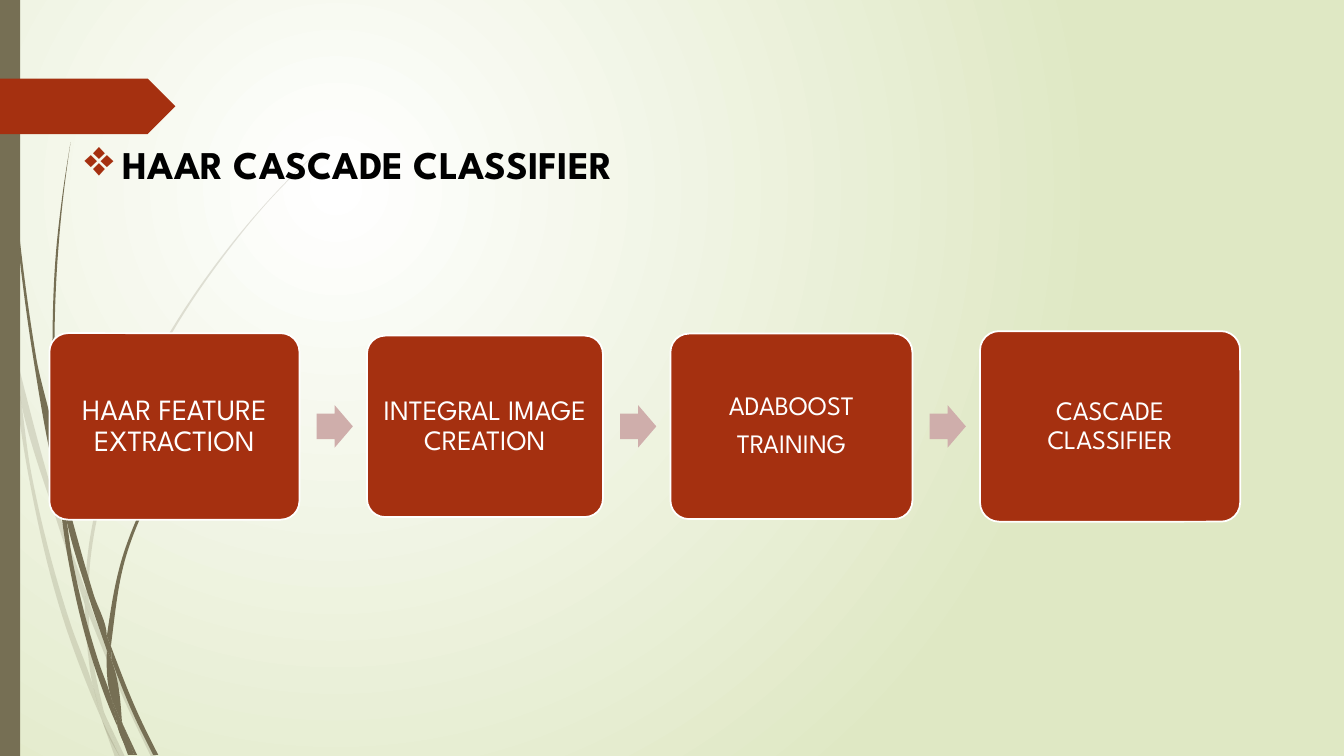
from itertools import pairwise

from lxml import etree
from pptx import Presentation
from pptx.dml.color import RGBColor
from pptx.enum.shapes import MSO_SHAPE
from pptx.enum.text import MSO_ANCHOR, PP_ALIGN
from pptx.oxml import parse_xml
from pptx.oxml.ns import nsdecls, qn
from pptx.util import Inches, Pt

SLIDE_W, SLIDE_H = Inches(13.33), Inches(7.5)
CELL = SLIDE_H / 7.5  # grid cell; every length below counts cells
FONT = "League Spartan"
COLORS = {
    "rust": "A53010",
    "rose": "CFAEAB",
    "bark": "766F54",
    "meadow": "DFE8C4",
    "white": "FFFFFF",
    "black": "000000",
}

# Each blade of grass is a ring of smooth edges that meet at corners.
PALE_BLADES = [
    ([(.11, 3.5), (.09, 3.22), (0, 2.82)], [(0, 2.99), (.1, 3.44)]),
    ([(.14, 3.45), (.17, 3.76), (.58, 5.22), (.84, 5.99)],
     [(.85, 5.86), (.62, 5.2), (.14, 3.45)]),
    ([(1.55, 7.51), (1.27, 6.92), (.92, 6.07), (.88, 5.96)],
     [(.88, 6.1), (1.23, 6.94), (1.5, 7.51)]),
    ([(1.19, 7.51), (1.24, 7.51)], [(1.05, 7.11)]),
    ([(.99, 7.07), (.93, 6.83), (.7, 6.19), (.31, 4.69), (.17, 3.76), (.11, 3.5)],
     [(.11, 3.5), (.28, 4.7), (.65, 6.21), (.92, 6.93), (1.01, 7.14)]),
    ([(.84, 5.99), (.87, 6.46), (.93, 6.83), (.96, 6.92), (1.05, 7.11)],
     [(1.03, 7.06), (.91, 6.46), (.88, 6.1), (.88, 6.08)]),
    ([(.88, 5.96), (.88, 5.84), (1.1, 4.62), (1.6, 3.49), (2.29, 2.45),
      (2.68, 1.98), (2.9, 1.75), (3.12, 1.54)],
     [(3.12, 1.53), (2.89, 1.75), (2.68, 1.97), (2.28, 2.44), (1.58, 3.48),
      (1.07, 4.61), (.85, 5.84), (.85, 5.86)]),
    ([(1.01, 7.14), (1.14, 7.51)], [(1.19, 7.51)]),
    ([(.88, 6.08), (.88, 6.1)], [(.88, 5.96), (.85, 5.86)], [(.84, 5.99)]),
    ([(1.05, 7.11), (.96, 6.92), (.93, 6.83)],
     [(.99, 7.07), (1.01, 7.14), (1.19, 7.51)]),
]
DARK_BLADES = [
    ([(.57, 4.81), (.56, 4.77), (.33, 3.55), (.17, 2.33), (.07, 1.1), (.04, .48), (.03, 0)],
     [(.04, 0), (.05, .48), (.08, 1.09), (.19, 2.32), (.36, 3.55), (.55, 4.53), (.55, 4.57)]),
    ([(1.06, 6.45), (.88, 5.92), (.64, 5.05), (.6, 4.72)],
     [(.6, 4.72), (.93, 5.9), (1.06, 6.31), (1.06, 6.33)]),
    ([(1.57, 7.49), (1.36, 7.06), (1.13, 6.49), (1.1, 6.41)],
     [(1.11, 6.56), (1.32, 7.08), (1.52, 7.49)]),
    ([(1.16, 7.17), (1.1, 6.91), (.98, 6.57), (.72, 5.56), (.64, 5.05), (.57, 4.77)],
     [(.57, 4.77), (.68, 5.57), (.93, 6.59), (1.11, 7.08), (1.17, 7.22)]),
    ([(.6, 4.72), (.58, 4.53), (.54, 3.49), (.58, 2.45), (.63, 1.93), (.7, 1.41)],
     [(.7, 1.41), (.62, 1.93), (.56, 2.45), (.52, 3.49), (.55, 4.49), (.6, 4.72)]),
    ([(1.33, 7.49), (1.36, 7.49)], [(1.22, 7.19)]),
    ([(1.1, 6.41), (1.11, 6.33), (1.25, 5.52), (1.58, 4.76), (2.05, 4.06),
      (2.31, 3.74), (2.45, 3.59), (2.61, 3.44)],
     [(2.6, 3.44), (2.45, 3.58), (2.31, 3.73), (2.04, 4.05), (1.56, 4.74),
      (1.22, 5.51), (1.06, 6.31)]),
    ([(1.17, 7.22), (1.27, 7.49)], [(1.31, 7.49)]),
    ([(1.06, 6.45), (1.1, 6.91), (1.16, 7.06), (1.22, 7.19)],
     [(1.21, 7.16), (1.11, 6.56), (1.09, 6.51)]),
    ([(1.06, 6.45), (1.09, 6.51), (1.11, 6.56)], [(1.1, 6.41), (1.06, 6.31)]),
    ([(1.33, 7.49), (1.22, 7.19), (1.16, 7.06), (1.1, 6.91)],
     [(1.16, 7.17), (1.17, 7.22), (1.3, 7.49)]),
]

# Lines of text, text size, card width and height
STEPS = [
    (["HAAR FEATURE EXTRACTION"], 21, 2.48, 1.85),
    (["INTEGRAL IMAGE CREATION"], 20, 2.34, 1.8),
    (["ADABOOST", "TRAINING"], 19, 2.4, 1.84),
    (["CASCADE CLASSIFIER"], 19, 2.58, 1.89),
]


def cells(*counts):
    return [round(count * CELL) for count in counts]


def paint(shape, color):
    shape.shadow.inherit = False
    shape.fill.solid()
    shape.fill.fore_color.rgb = RGBColor.from_string(COLORS[color])
    shape.line.fill.background()


def add_block(shapes, preset, box, color, *adjustments):
    block = shapes.add_shape(preset, *cells(*box))
    paint(block, color)
    for index, value in enumerate(adjustments):
        block.adjustments[index] = value
    return block


def add_words(paragraph, words, size, color, bold=False):
    run = paragraph.add_run()
    run.text = words
    run.font.name, run.font.size, run.font.bold = FONT, Pt(size), bold
    run.font.color.rgb = RGBColor.from_string(COLORS[color])


def bezier_handles(knots):
    """Two control points for each stretch of a smooth curve through the knots."""
    spans = [abs(b - a) for a, b in pairwise(knots)]
    chords = [(b - a) / abs(b - a) for a, b in pairwise(knots)]
    if len(chords) < 2:
        slopes = chords * 2
    else:
        inner = [(chords[i] * spans[i + 1] + chords[i + 1] * spans[i])
                 / (spans[i] + spans[i + 1]) for i in range(len(spans) - 1)]
        slopes = [(3 * chords[0] - inner[0]) / 2, *inner, (3 * chords[-1] - inner[-1]) / 2]
    return [(knots[i] + slopes[i] * span / 3, knots[i + 1] - slopes[i + 1] * span / 3)
            for i, span in enumerate(spans)]


def add_blade(tuft, edges):
    edges = [[complex(x, y) * 1000 for x, y in edge] for edge in edges]
    start, *ring = [(knot.real, knot.imag) for edge in edges for knot in edge]
    builder = tuft.shapes.build_freeform(*start, scale=CELL / 1000)
    builder.add_line_segments(ring, close=True)
    blade = builder.convert_to_shape()
    corner = complex(*(min(values) for values in zip(start, *ring)))
    # None marks the straight step from one edge to the next
    handles = []
    for edge in edges:
        handles += [*bezier_handles(edge), None]
    stretches = list(blade._element.iter(qn("a:lnTo")))
    for stretch, pair in zip(stretches, handles):
        if pair:
            stretch.tag = qn("a:cubicBezTo")
            for index, handle in enumerate(pair):
                place = handle - corner
                point = etree.Element(qn("a:pt"), x=str(round(place.real)),
                                      y=str(round(place.imag)))
                stretch.insert(index, point)
    return blade


def add_grass(slide, blades, opacity):
    tuft = slide.shapes.add_group_shape()
    for edges in blades:
        blade = add_blade(tuft, edges)
        paint(blade, "bark")
        if opacity < 100:
            tint = blade._element.find(".//" + qn("a:srgbClr"))
            etree.SubElement(tint, qn("a:alpha"), val=str(opacity * 1000))


def add_background(slide):
    slide.background.fill.gradient()
    gradient = slide._element.find(".//" + qn("a:gradFill"))
    gradient.getparent().replace(gradient, parse_xml(
        f'<a:gradFill {nsdecls("a")} rotWithShape="1"><a:gsLst>'
        f'<a:gs pos="0"><a:srgbClr val="{COLORS["white"]}"/></a:gs>'
        f'<a:gs pos="100000"><a:srgbClr val="{COLORS["meadow"]}"/></a:gs></a:gsLst>'
        '<a:path path="circle"><a:fillToRect l="50000" t="50000" r="100000" b="100000"/>'
        '</a:path></a:gradFill>'))


def add_heading(slide, box):
    frame = slide.shapes.add_textbox(*cells(*box)).text_frame
    frame.word_wrap = True
    heading = frame.paragraphs[0]
    heading.space_before = Pt(10)
    add_words(heading, "HAAR CASCADE CLASSIFIER", 28, "black", bold=True)
    props = heading._p.get_or_add_pPr()
    hang = Inches(0.38)
    props.set("marL", str(hang))
    props.set("indent", str(-hang))
    bullet_color = etree.SubElement(props, qn("a:buClr"))
    etree.SubElement(bullet_color, qn("a:srgbClr"), val=COLORS["rust"])
    etree.SubElement(props, qn("a:buSzPct"), val="130000")
    etree.SubElement(props, qn("a:buChar"), char="❖")


def add_step(slide, box, lines, size):
    card = add_block(slide.shapes, MSO_SHAPE.ROUNDED_RECTANGLE, box, "rust", 0.1)
    card.line.color.rgb = RGBColor.from_string(COLORS["white"])
    card.line.width = Pt(1.25)
    frame = card.text_frame
    frame.word_wrap, frame.vertical_anchor = True, MSO_ANCHOR.MIDDLE
    frame.margin_left = frame.margin_right = Inches(0.08)
    frame.margin_top = frame.margin_bottom = Inches(0.08)
    for index, line in enumerate(lines):
        paragraph = frame.add_paragraph() if index else frame.paragraphs[0]
        paragraph.alignment = PP_ALIGN.CENTER
        paragraph.line_spacing, paragraph.space_after = 0.9, Pt(0.35 * size)
        add_words(paragraph, line, size, "white")


def add_process(slide, left, middle, gap=0.67):
    """Cards centred on one line, with an arrow in each gap."""
    arrow_w, arrow_h = 0.36, 0.42
    for index, (lines, size, width, height) in enumerate(STEPS):
        if index:
            arrow = (left - gap + 0.17, middle - arrow_h / 2, arrow_w, arrow_h)
            add_block(slide.shapes, MSO_SHAPE.RIGHT_ARROW, arrow, "rose", 0.6, 0.5)
        add_step(slide, (left, middle - height / 2, width, height), lines, size)
        left += width + gap


def main():
    deck = Presentation()
    deck.slide_width, deck.slide_height = SLIDE_W, SLIDE_H
    slide = deck.slides.add_slide(deck.slide_layouts[6])
    add_background(slide)
    add_grass(slide, PALE_BLADES, 20)
    add_grass(slide, DARK_BLADES, 100)
    add_block(slide.shapes, MSO_SHAPE.RECTANGLE, (0, 0, 0.2, 7.5), "bark")
    add_block(slide.shapes, MSO_SHAPE.PENTAGON, (0, 0.78, 1.74, 0.55), "rust", 0.5)
    add_heading(slide, (0.74, 1.34, 11.84, 5.12))
    add_process(slide, left=0.49, middle=4.23)
    deck.save("out.pptx")


if __name__ == "__main__":
    main()
